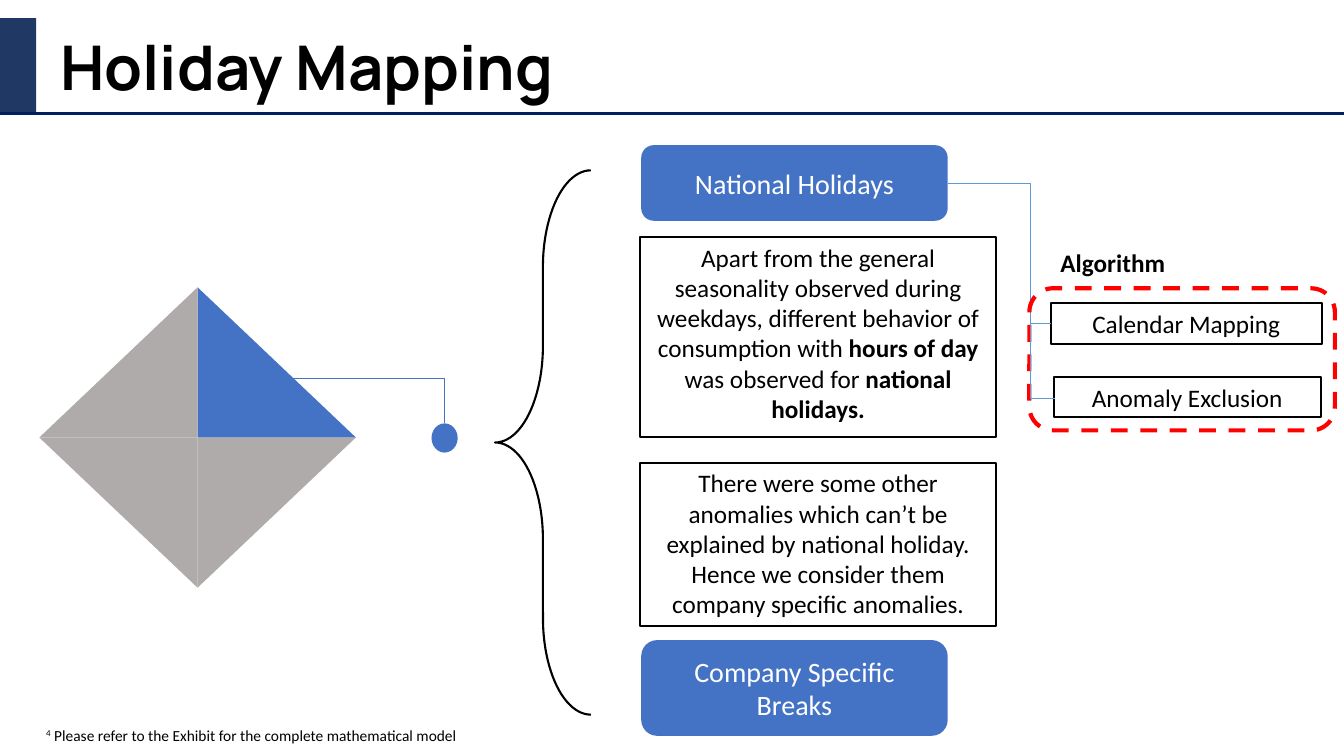
import pptx
import pptx.util
import pptx.dml.color
import pptx.enum.dml
import pptx.enum.shapes
import pptx.enum.text
import pptx.oxml

Inches = pptx.util.Inches
Pt = pptx.util.Pt
SHAPE = pptx.enum.shapes.MSO_SHAPE
CONNECTOR = pptx.enum.shapes.MSO_CONNECTOR
ALIGN = pptx.enum.text.PP_ALIGN
ANCHOR = pptx.enum.text.MSO_ANCHOR
AUTO_SIZE = pptx.enum.text.MSO_AUTO_SIZE

COLORS = {
    "black": "000000", "white": "FFFFFF", "navy": "203864", "rule": "002060",
    "blue": "4472C4", "gray": "AFABAB", "link": "5B9BD5", "red": "FF0000",
}

TITLE = [("Holiday Mapping", True)]
ALGORITHM = [("Algorithm", True)]
FOOTNOTE = [("4", False), (" Please refer to the Exhibit for the complete mathematical model", False)]

CATEGORIES = [
    ("National Holidays", 1.44, 0.75),
    ("Company Specific Breaks", 6.35, 0.95),
]
FINDINGS = [
    ([("Apart from the general seasonality observed during weekdays, different behavior of consumption with ", False),
      ("hours of day", True),
      (" was observed for", False),
      (" national holidays.", True)], (6.35, 2.35, 3.53, 1.99)),
    ([("There were some other anomalies which can’t be explained by national holiday. "
       "Hence we consider them company specific anomalies.", False)], (6.35, 4.59, 3.53, 1.62)),
]
STEPS = [
    ([("Calendar Mapping", False)], (10.42, 3.01, 2.69, 0.4)),
    ([("Anomaly Exclusion", False)], (10.45, 3.74, 2.65, 0.4)),
]
DIAMOND_CENTER = (1.96, 4.34)
DIAMOND_HALF = (1.57, 1.49)
QUARTERS = [(1, 1, "gray"), (1, -1, "blue"), (-1, 1, "gray"), (-1, -1, "gray")]

prs = pptx.Presentation()
prs.slide_width, prs.slide_height = Inches(13.33), Inches(7.5)
slide = prs.slides.add_slide(prs.slide_layouts[6])


def rgb(name):
    return pptx.dml.color.RGBColor.from_string(COLORS[name])


def paint(shape, fill=None, line=None, weight=1.5):
    shape.shadow.inherit = False
    if fill:
        shape.fill.solid()
        shape.fill.fore_color.rgb = rgb(fill)
    else:
        shape.fill.background()
    if line:
        shape.line.color.rgb = rgb(line)
        shape.line.width = Pt(weight)
    else:
        shape.line.fill.background()
    return shape


def add_box(kind, at, fill=None, line=None, weight=1.5):
    return paint(slide.shapes.add_shape(kind, *map(Inches, at)), fill, line, weight)


def write(shape, runs, size, color="black", font="Calibri", align=ALIGN.CENTER, anchor=ANCHOR.TOP):
    frame = shape.text_frame
    frame.word_wrap = True
    frame.auto_size = AUTO_SIZE.NONE
    frame.vertical_anchor = anchor
    paragraph = frame.paragraphs[0]
    paragraph.alignment = align
    for text, bold in runs:
        run = paragraph.add_run()
        run.text = text
        run.font.size = Pt(size)
        run.font.name = font
        run.font.bold = bold
        run.font.color.rgb = rgb(color)
    return paragraph


def add_label(at, runs, size, **style):
    return write(slide.shapes.add_textbox(*map(Inches, at)), runs, size, **style)


def add_line(kind, start, end, color, weight):
    line = slide.shapes.add_connector(kind, *map(Inches, start + end))
    line.line.color.rgb = rgb(color)
    line.line.width = Pt(weight)
    line._element.spPr.append(pptx.oxml.parse_xml(
        '<a:effectLst xmlns:a="http://schemas.openxmlformats.org/drawingml/2006/main"/>'))
    return line


def single_bend(line):
    line._element.spPr.prstGeom.set("prst", "bentConnector2")
    return line


add_label((0.36, 0.24, 5.37, 0.84), TITLE, 44, font="Manrope")
add_box(SHAPE.RECTANGLE, (0, 0.18, 0.36, 0.94), "navy")
add_line(CONNECTOR.STRAIGHT, (0, 1.13), (13.33, 1.13), "rule", 2.25)

diamond = slide.shapes.add_group_shape()
center_x, center_y = map(Inches, DIAMOND_CENTER)
half_w, half_h = map(Inches, DIAMOND_HALF)
for side, down, color in QUARTERS:
    outline = diamond.shapes.build_freeform(center_x, center_y)
    outline.add_line_segments([(center_x + side * half_w, center_y),
                               (center_x, center_y + down * half_h)], close=True)
    paint(outline.convert_to_shape(), color)

brace = add_box(SHAPE.LEFT_BRACE, (4.91, 1.69, 0.95, 5.4), line="black")
brace.adjustments[0] = 1.01
brace.adjustments[1] = 0.5
add_box(SHAPE.OVAL, (4.28, 4.2, 0.26, 0.29), "blue")
single_bend(add_line(CONNECTOR.ELBOW, (2.74, 3.75), (4.41, 4.2), "blue", 0.5))

for name, top, height in CATEGORIES:
    category = add_box(SHAPE.ROUNDED_RECTANGLE, (6.36, top, 3.04, height), "blue")
    write(category, [(name, False)], 20, "white", anchor=ANCHOR.MIDDLE)

for runs, at in FINDINGS + STEPS:
    write(add_box(SHAPE.RECTANGLE, at, line="black"), runs, 18)

calendar_link = add_line(CONNECTOR.ELBOW, (9.4, 1.82), (10.42, 3.21), "link", 0.5)
guides = calendar_link._element.spPr.prstGeom.get_or_add_avLst()
guides.append(pptx.oxml.parse_xml(
    '<a:gd xmlns:a="http://schemas.openxmlformats.org/drawingml/2006/main" name="adj1" fmla="val 80300"/>'))

algorithm_frame = add_box(SHAPE.ROUNDED_RECTANGLE, (10.21, 2.86, 3.03, 1.41), line="red", weight=3)
algorithm_frame.line.dash_style = pptx.enum.dml.MSO_LINE.DASH

footnote = add_label((0.36, 7.15, 12.76, 0.29), FOOTNOTE, 11, align=ALIGN.LEFT)
footnote.runs[0].font._element.set("baseline", "30000")

anomaly_link = single_bend(add_line(CONNECTOR.ELBOW, (9.97, 3.46), (10.71, 3.7), "link", 0.5))
turn = anomaly_link._element.spPr.xfrm
turn.set("rot", str(270 * 60000))
turn.set("flipH", "1")

add_label((10.42, 2.4, 1.54, 0.4), ALGORITHM, 18, align=ALIGN.LEFT)

prs.save("out.pptx")
